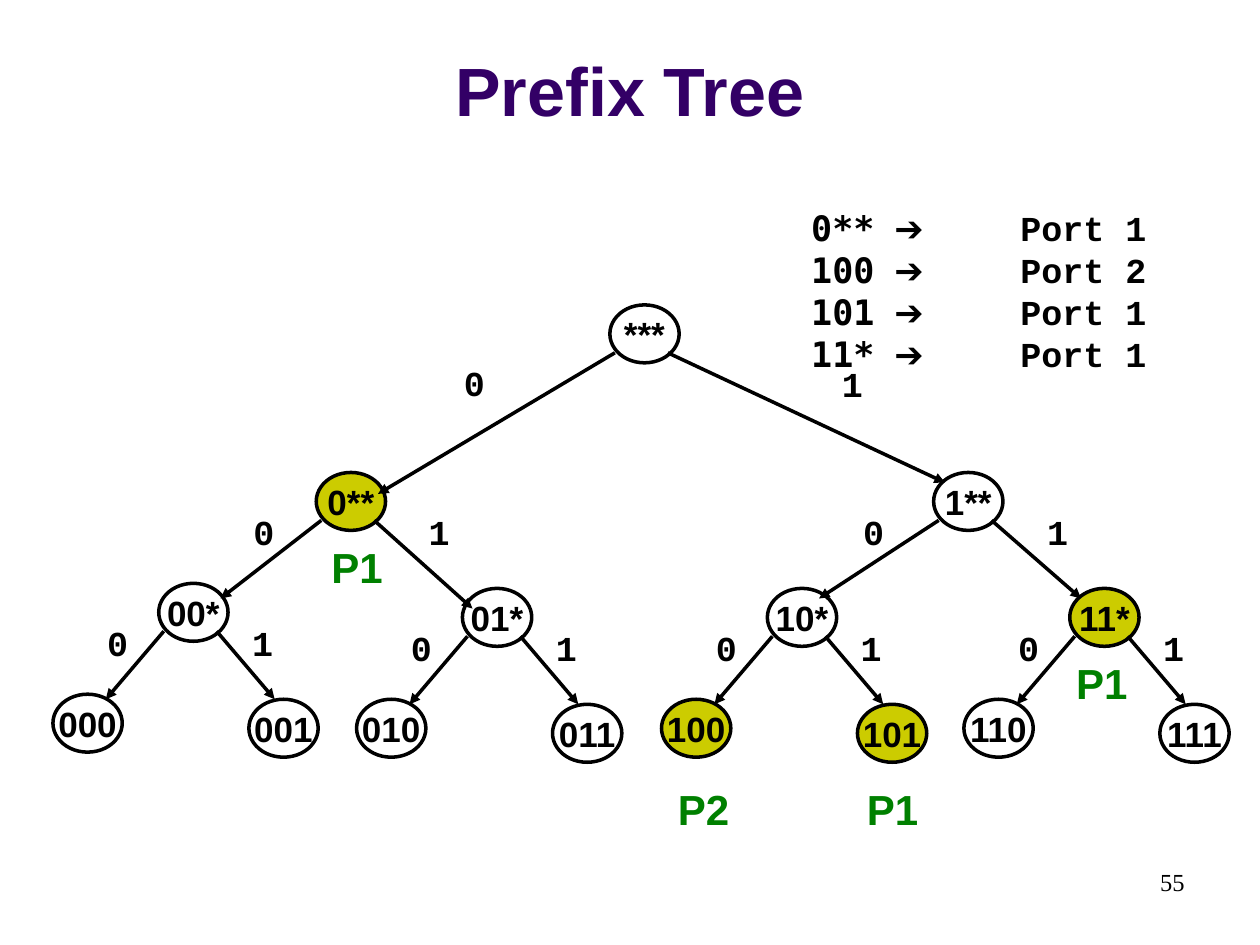
from dataclasses import dataclass

import pptx
import pptx.dml.color
import pptx.enum.shapes
import pptx.enum.text
import pptx.oxml.ns
import pptx.util
from lxml import etree

ALIGN = pptx.enum.text.PP_ALIGN
ANCHOR = pptx.enum.text.MSO_ANCHOR
COLORS = {"title": "330066", "ink": "000000", "plain": "FFFFFF",
          "match": "CCCC00", "port": "008000"}
SANS, CODE, TABLE_CODE, SERIF = "Arial", "Courier New", "DejaVu Sans Mono", "Times New Roman"

# The slide is a grid of 100 columns and 75 rows
prs = pptx.Presentation()
prs.slide_width, prs.slide_height = pptx.util.Inches(10), pptx.util.Inches(7.5)
COL, ROW = prs.slide_width / 100, prs.slide_height / 75
NODE_W, NODE_H = 5.5, 4.6


@dataclass(frozen=True)
class Branch:
    """Arrow tip and bit label, as columns and rows from the node's corner."""
    tip: tuple[float, float]
    label: tuple[float, float]


@dataclass(frozen=True)
class Node:
    prefix: str
    col: float
    row: float
    branches: tuple[Branch, ...] = ()


LEAF_FORK = (Branch((-4.2, 9.2), (-5.9, 2.5)), Branch((9.2, 9.2), (5.6, 2.5)))
ZERO_LEAF, ONE_LEAF = (-8.4, 8.8), (7.15, 9.2)
BRANCH_STARTS = ((0.4, 3.8), (4.6, 3.8))

UPPER_NODES = [
    Node("***", 48.4, 24.2, (Branch((-18.4, 15), (-13.4, 4)),
                             Branch((26.6, 14.1), (16.6, 4.1)))),
    Node("0**", 25.1, 37.5, (Branch((-7.6, 10), (-6.8, 2.5)),
                             Branch((12.4, 10.8), (7.1, 2.5)))),
    Node("1**", 74.1, 37.5, (Branch((-9.1, 10), (-7.4, 2.5)),
                             Branch((11.7, 10), (7.2, 2.5)))),
]
LEAF_PARENTS = [
    Node("00*", 12.6, 46.3, LEAF_FORK),
    Node("01*", 36.7, 46.7, LEAF_FORK),
    Node("10*", 60.9, 46.7, LEAF_FORK),
    Node("11*", 84.9, 46.7, LEAF_FORK),
]
LEAVES = [
    Node(parent.prefix.replace("*", bit), parent.col + dx, parent.row + dy)
    for parent in LEAF_PARENTS
    for bit, (dx, dy) in zip("01", (ZERO_LEAF, ONE_LEAF))
]
ROUTES = {"0**": "Port 1", "100": "Port 2", "101": "Port 1", "11*": "Port 1"}
PORT_LABELS = [("P1", 24.2, 42.5), ("P2", 51.7, 61.7), ("P1", 66.7, 61.7), ("P1", 83.3, 51.7)]


def rgb(name: str) -> pptx.dml.color.RGBColor:
    return pptx.dml.color.RGBColor.from_string(COLORS[name])


def box(col: float, row: float, cols: float, rows: float) -> list[int]:
    return [round(v) for v in (col * COL, row * ROW, cols * COL, rows * ROW)]


def write(paragraph, text: str, *, size: float = 20, font: str = SANS,
          color: str = "ink", bold: bool = True, align=ALIGN.CENTER) -> None:
    """Add a formatted run to a paragraph."""
    paragraph.alignment = align
    run = paragraph.add_run()
    run.text = text
    run.font.size, run.font.name, run.font.bold = pptx.util.Pt(size), font, bold
    run.font.color.rgb = rgb(color)


def add_text_frame(slide, col: float, row: float, cols: float, rows: float):
    frame = slide.shapes.add_textbox(*box(col, row, cols, rows)).text_frame
    frame.word_wrap = True
    return frame


def draw_node(slide, node: Node) -> None:
    oval = slide.shapes.add_shape(pptx.enum.shapes.MSO_SHAPE.OVAL,
                                  *box(node.col, node.row, NODE_W, NODE_H))
    oval.shadow.inherit = False
    oval.fill.solid()
    oval.fill.fore_color.rgb = rgb("match" if node.prefix in ROUTES else "plain")
    oval.line.color.rgb = rgb("ink")
    oval.line.width = pptx.util.Pt(2)
    oval.text_frame.word_wrap = False
    oval.text_frame.vertical_anchor = ANCHOR.MIDDLE
    write(oval.text_frame.paragraphs[0], node.prefix)


def draw_branches(slide, node: Node) -> None:
    for bit, start, branch in zip("01", BRANCH_STARTS, node.branches):
        ends = [*box(node.col + start[0], node.row + start[1], 0, 0)[:2],
                *box(node.col + branch.tip[0], node.row + branch.tip[1], 0, 0)[:2]]
        arrow = slide.shapes.add_connector(pptx.enum.shapes.MSO_CONNECTOR.STRAIGHT, *ends)
        arrow.line.color.rgb = rgb("ink")
        arrow.line.width = pptx.util.Pt(2)
        etree.SubElement(arrow.line._get_or_add_ln(),
                         pptx.oxml.ns.qn("a:tailEnd"), type="triangle")
        etree.SubElement(arrow._element.spPr, pptx.oxml.ns.qn("a:effectLst"))
        label = add_text_frame(slide, node.col + branch.label[0],
                               node.row + branch.label[1], 5.3, 4.3)
        write(label.paragraphs[0], bit, font=CODE)


def draw_routes(slide) -> None:
    frame = add_text_frame(slide, 63.4, 15.9, 32.4, 14.4)
    for index, (prefix, port) in enumerate(ROUTES.items()):
        line = frame.add_paragraph() if index else frame.paragraphs[0]
        tabs = etree.SubElement(line._p.get_or_add_pPr(), pptx.oxml.ns.qn("a:tabLst"))
        for stop in (6.6, 16.6):
            etree.SubElement(tabs, pptx.oxml.ns.qn("a:tab"),
                             pos=str(round(stop * COL)), algn="l")
        for text, font in ((f"{prefix}\t", TABLE_CODE), ("➔\t", SANS), (port, CODE)):
            write(line, text, font=font, align=ALIGN.LEFT)


def main() -> None:
    slide = prs.slides.add_slide(prs.slide_layouts[5])

    # Title and page number
    title = slide.shapes.title
    title.left, title.top, title.width, title.height = box(0, 1.3, 100, 9.5)
    title.text_frame.vertical_anchor = ANCHOR.BOTTOM
    write(title.text_frame.paragraphs[0], "Prefix Tree", size=39, color="title")
    page = add_text_frame(slide, 71.7, 68.3, 23.3, 5)
    write(page.paragraphs[0], "55", size=14, font=SERIF, bold=False, align=ALIGN.RIGHT)

    # Tree: nodes first, so that arrow tips lie on top
    nodes = UPPER_NODES + LEAF_PARENTS + LEAVES
    for node in nodes:
        draw_node(slide, node)
    for node in nodes:
        draw_branches(slide, node)

    # Output ports beside the matching prefixes
    for port, col, row in PORT_LABELS:
        label = add_text_frame(slide, col, row, 8.3, 5)
        write(label.paragraphs[0], port, size=24, color="port")

    # Routing table
    draw_routes(slide)
    prs.save("out.pptx")


if __name__ == "__main__":
    main()
